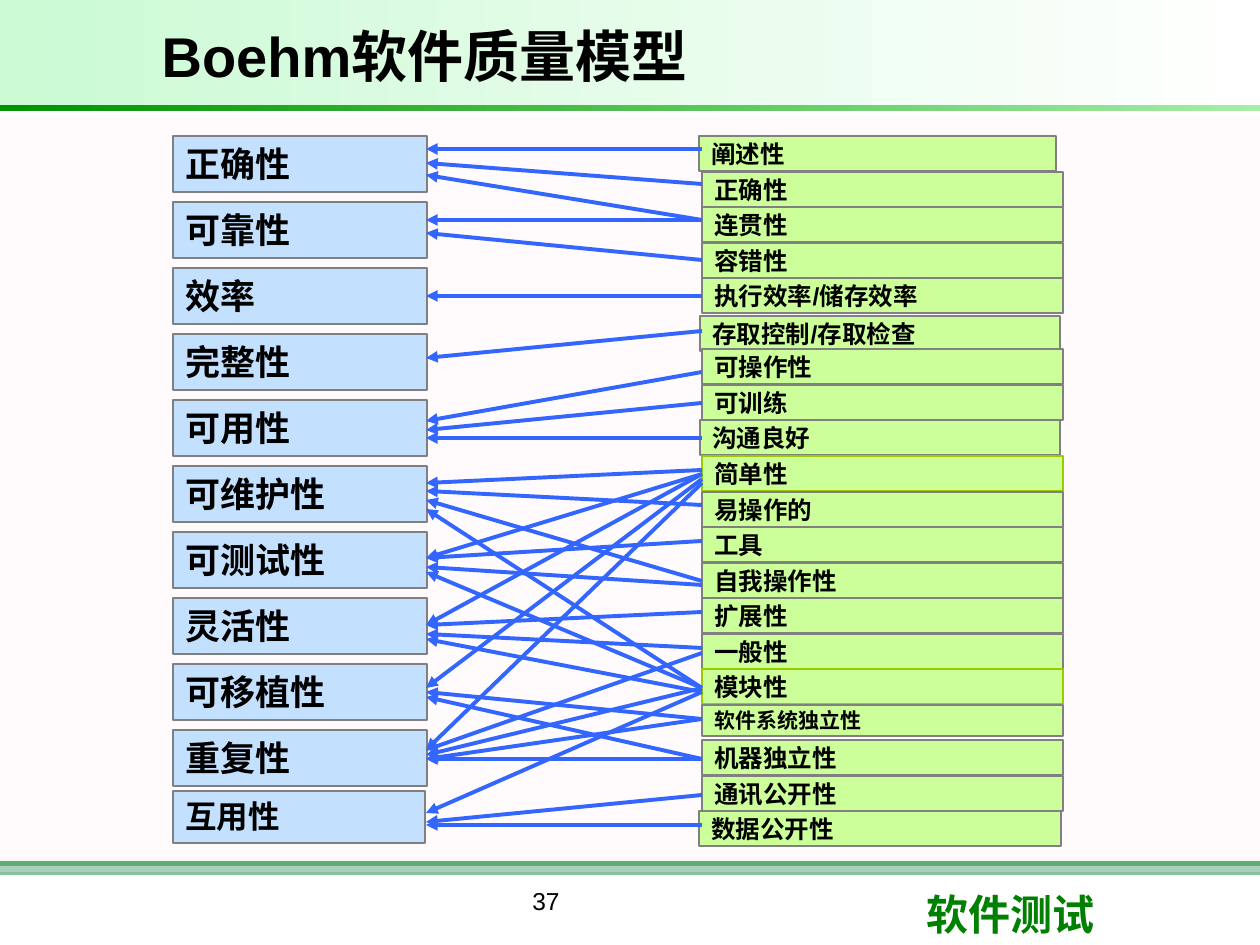
from lxml.etree import SubElement
from pptx import Presentation
from pptx.dml.color import RGBColor
from pptx.enum.shapes import MSO_CONNECTOR, MSO_SHAPE
from pptx.enum.text import MSO_ANCHOR, MSO_AUTO_SIZE, PP_ALIGN
from pptx.oxml.ns import qn
from pptx.util import Pt

PX = 914400 / 126


def px(*lengths):
    """Turn px lengths into a list of EMU."""
    return [round(length * PX) for length in lengths]


def style_text(shape, text, size, color="000000", bold=True, font="Arial"):
    frame = shape.text_frame
    frame.text = text
    frame.word_wrap = True
    frame.auto_size = MSO_AUTO_SIZE.NONE
    frame.vertical_anchor = MSO_ANCHOR.TOP
    paragraph = frame.paragraphs[0]
    paragraph.alignment = PP_ALIGN.LEFT
    run_font = paragraph.runs[0].font
    run_font.name, run_font.size, run_font.bold = font, Pt(size), bold
    run_font.color.rgb = RGBColor.from_string(color)


presentation = Presentation()
presentation.slide_width, presentation.slide_height = px(1260, 945)
slide = presentation.slides.add_slide(presentation.slide_layouts[5])
shapes = slide.shapes

# Footer bars and the tinted content panel: top, height, colour, opacity in percent
for top, height, color, opacity in [
    (861, 5, "008000", 100),
    (861, 14, "339966", 60),
    (116, 756, "FFF0F5", 30),
]:
    band = shapes.add_shape(MSO_SHAPE.RECTANGLE, *px(0, top, 1260, height))
    band.shadow.inherit = False
    band.line.fill.background()
    band.fill.solid()
    band.fill.fore_color.rgb = RGBColor.from_string(color)
    color_element = band.fill._xPr.find(qn("a:solidFill"))[0]
    SubElement(color_element, qn("a:alpha"), val=str(opacity * 1000))

# Header gradients: top, height, left colour, right colour
for top, height, *colors in [
    (0, 105, "CBFAD4", "FFFFFF"),
    (105, 6, "009200", "A6EDA6"),
]:
    band = shapes.add_shape(MSO_SHAPE.RECTANGLE, *px(0, top, 1260, height))
    band.shadow.inherit = False
    band.line.fill.background()
    band.fill.gradient()
    band.fill.gradient_angle = 0
    for stop, color in zip(band.fill.gradient_stops, colors):
        stop.color.rgb = RGBColor.from_string(color)

title = shapes.title
title.left, title.top, title.width, title.height = px(149, 10, 878, 90)
style_text(title, "Boehm软件质量模型", 32)
title.text_frame.vertical_anchor = MSO_ANCHOR.MIDDLE
shapes._spTree.append(title._element)  # in front of the header band

course = shapes.add_textbox(*px(914, 882, 299, 63))
style_text(course, "软件测试", 24, color="008000", font="Roboto")
page_number = shapes.add_textbox(*px(346, 880, 400, 65))
style_text(page_number, "37", 14, bold=False)
page_number.text_frame.paragraphs[0].alignment = PP_ALIGN.CENTER

# Boxes: text, left, top, width, height, text size, inset, fill, line, line width
factors = ["正确性", "可靠性", "效率", "完整性", "可用性", "可维护性",
           "可测试性", "灵活性", "可移植性", "重复性"]
criteria = ["阐述性", "正确性", "连贯性", "容错性", "执行效率/储存效率",
            "存取控制/存取检查", "可操作性", "可训练", "沟通良好", "简单性",
            "易操作的", "工具", "自我操作性", "扩展性", "一般性", "模块性",
            "软件系统独立性", "机器独立性", "通讯公开性", "数据公开性"]
shifted = {"阐述性": (699, 0, 357), "存取控制/存取检查": (700, 2, 360),
           "沟通良好": (700, 0, 360), "数据公开性": (699, 0, 362)}
highlights = {"简单性": 1.5, "模块性": 1.25}

boxes = [(name, 173, 136 + 66 * row, 254, 56, 20, 6, "C3E1FF", "808080", 0.75)
         for row, name in enumerate(factors)]
boxes.append(("互用性", 173, 791, 252, 52, 18, 6, "C3E1FF", "808080", 0.75))
for row, name in enumerate(criteria):
    left, drop, width = shifted.get(name, (702, 0, 361))
    height, size = (31, 12) if name == "软件系统独立性" else (35, 14)
    line_color = "99CC00" if name in highlights else "808080"
    boxes.append((name, left, round(136 + 35.55 * row) + drop, width, height, size,
                  3, "CCFF99", line_color, highlights.get(name, 0.75)))

for name, left, top, width, height, size, inset, fill, line_color, line_width in boxes:
    box = shapes.add_shape(MSO_SHAPE.RECTANGLE, *px(left, top, width, height))
    box.shadow.inherit = False
    box.fill.solid()
    box.fill.fore_color.rgb = RGBColor.from_string(fill)
    box.line.color.rgb = RGBColor.from_string(line_color)
    box.line.width = Pt(line_width)
    style_text(box, name, size)
    box.text_frame.margin_top, box.text_frame.margin_bottom = px(inset, inset)

# Arrows: heights of the criterion end and the factor end, one line per factor
arrows = [
    (149, 149), (184, 163), (220, 175),
    (220, 220), (260, 233),
    (296, 296),
    (331, 358),
    (372, 421), (403, 430), (438, 438),
    (470, 483), (505, 491), (581, 500), (688, 509),
    (474, 558), (541, 558), (585, 567), (688, 572),
    (474, 625), (612, 625), (648, 634), (692, 639),
    (479, 688), (719, 692), (759, 697),
    (483, 750), (653, 750), (688, 755), (719, 759), (759, 759),
    (692, 813), (795, 822), (825, 825),
]
for criterion_y, factor_y in arrows:
    arrow = shapes.add_connector(MSO_CONNECTOR.STRAIGHT,
                                 *px(702, criterion_y, 426, factor_y))
    arrow.line.color.rgb = RGBColor.from_string("3366FF")
    arrow.line.width = Pt(2.25)
    SubElement(arrow.line._get_or_add_ln(), qn("a:tailEnd"), type="triangle")
    SubElement(arrow._element.spPr, qn("a:effectLst"))

presentation.save("out.pptx")
